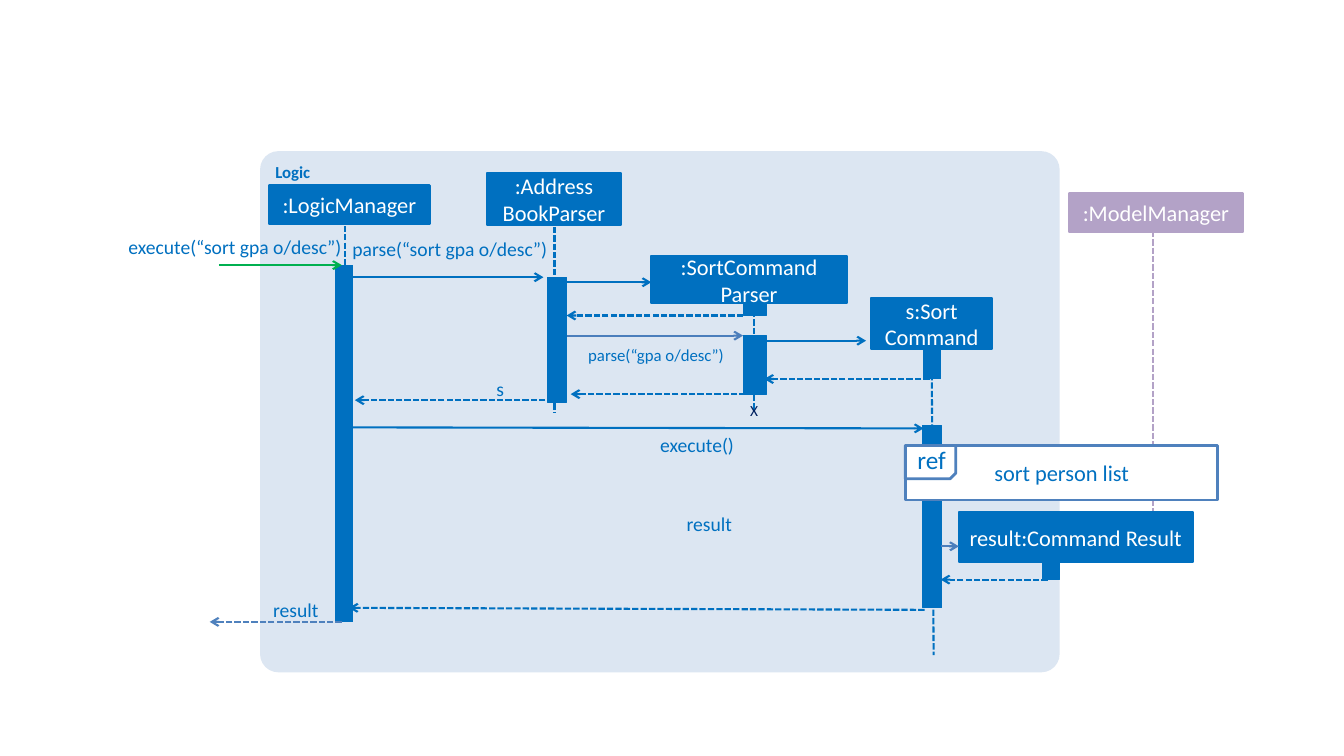
from pptx import Presentation
from pptx.dml.color import RGBColor
from pptx.enum.dml import MSO_LINE
from pptx.enum.shapes import MSO_CONNECTOR, MSO_SHAPE
from pptx.enum.text import MSO_ANCHOR, PP_ALIGN
from pptx.oxml.ns import qn
from pptx.util import Inches, Pt
from lxml.etree import SubElement

COLORS = {
    "logic": "0070C0", "model": "B3A2C7", "panel": "DCE6F2", "call": "00B050",
    "frame": "4F81BD", "steel": "4B7EBC", "navy": "002060", "white": "FFFFFF",
}
ALIGN = {"l": PP_ALIGN.LEFT, "c": PP_ALIGN.CENTER, "r": PP_ALIGN.RIGHT}

PANEL = (2.58, 1.5, 7.93, 5.17)
FRAME = (8.98, 4.42, 3.1, 0.54)
FRAME_TAB = (8.98, 4.42, 0.5, 0.33)

# start x, start y, end x, end y, colour
LIFELINES = [
    (3.42, 2.24, 3.42, 5.08, "logic"),
    (5.5, 2.25, 5.5, 4.1, "logic"),
    (7.48, 3, 7.48, 4.08, "logic"),
    (9.24, 3.46, 9.26, 6.5, "logic"),
    (11.44, 2.29, 11.44, 5.38, "model"),
]
# left, top, width, height
ACTIVATIONS = [
    (3.33, 2.63, 0.17, 3.54),
    (5.43, 2.75, 0.19, 1.24),
    (7.37, 3, 0.23, 0.13),
    (7.37, 3.33, 0.23, 0.58),
    (9.16, 3.46, 0.17, 0.3),
    (9.15, 4.22, 0.19, 1.81),
    (10.34, 5.56, 0.17, 0.19),
]
# name, place, colour; "\n" starts a paragraph, "\v" breaks a line
PARTICIPANTS = [
    (":LogicManager", (2.67, 1.84, 1.59, 0.38), "logic"),
    (":Address\nBookParser", (4.83, 1.72, 1.33, 0.51), "logic"),
    (":SortCommand\nParser", (6.46, 2.54, 1.94, 0.47), "logic"),
    ("s:Sort\vCommand", (8.64, 2.96, 1.2, 0.5), "logic"),
    (":ModelManager", (10.6, 1.92, 1.73, 0.38), "model"),
    ("result:Command Result", (9.51, 5.08, 2.32, 0.5), "logic"),
]
# sender x, y, receiver x, y, colour
CALLS = [
    (2.17, 2.63, 3.39, 2.63, "call"),
    (3.48, 2.75, 5.39, 2.75, "logic"),
    (5.57, 2.8, 6.46, 2.8, "logic"),
    (5.62, 3.33, 7.37, 3.33, "steel"),
    (7.58, 3.38, 8.59, 3.38, "logic"),
    (3.5, 4.24, 9.16, 4.25, "logic"),
    (9.33, 5.42, 9.51, 5.42, "steel"),
]
RETURNS = [
    (7.37, 3.13, 5.62, 3.13, "logic"),
    (9.22, 3.76, 7.58, 3.76, "logic"),
    (7.48, 3.91, 5.66, 3.91, "logic"),
    (5.41, 3.97, 3.52, 3.97, "logic"),
    (10.39, 5.75, 9.33, 5.75, "logic"),
    (9.17, 6.05, 3.46, 6.03, "logic"),
    (3.39, 6.17, 2.08, 6.17, "frame"),
]
# text, place, size
MESSAGES = [
    ("execute(“sort gpa o/desc”)", (1.26, 2.33, 2.13, 0.24), 14),
    ("parse(“sort gpa o/desc”)", (3.09, 2.35, 2.34, 0.24), 14),
    ("parse(“gpa o/desc”)", (5.71, 3.42, 1.47, 0.2), 12),
    ("s", (4.76, 3.74, 0.24, 0.24), 14),
    ("execute()", (6.34, 4.29, 0.94, 0.24), 14),
    ("result", (6.58, 5.08, 0.68, 0.24), 14),
    ("result", (2.33, 5.93, 0.83, 0.24), 14),
]

prs = Presentation()
prs.slide_width, prs.slide_height = Inches(13.33), Inches(7.5)
shapes = prs.slides.add_slide(prs.slide_layouts[6]).shapes


def rgb(name):
    """Return the palette colour with this name."""
    return RGBColor.from_string(COLORS[name])


def write(shape, text, size=16, color="logic", align="c", bold=False,
          anchor=MSO_ANCHOR.MIDDLE, wrap=True, inset=None):
    """Put formatted text in a shape."""
    frame = shape.text_frame
    frame.text, frame.word_wrap, frame.vertical_anchor = text, wrap, anchor
    if inset is not None:
        frame.margin_left = frame.margin_right = Inches(inset)
        frame.margin_top = frame.margin_bottom = Inches(inset)
    for paragraph in frame.paragraphs:
        paragraph.alignment = ALIGN[align]
        for run in paragraph.runs:
            run.font.name, run.font.size, run.font.bold = "Calibri", Pt(size), bold
            run.font.color.rgb = rgb(color)


def block(place, fill, outline=None, weight=1.5, kind=MSO_SHAPE.RECTANGLE):
    """Draw a filled shape, outlined when a colour is given."""
    shape = shapes.add_shape(kind, *map(Inches, place))
    shape.shadow.inherit = False
    shape.fill.solid()
    shape.fill.fore_color.rgb = rgb(fill)
    if outline:
        shape.line.color.rgb, shape.line.width = rgb(outline), Pt(weight)
    else:
        shape.line.fill.background()
    return shape


def connect(x1, y1, x2, y2, color, dashed=False, arrow=False):
    """Draw a line, with an open arrowhead at its end if wanted."""
    link = shapes.add_connector(MSO_CONNECTOR.STRAIGHT, *map(Inches, (x1, y1, x2, y2)))
    link.line.color.rgb, link.line.width = rgb(color), Pt(1.5)
    if dashed:
        link.line.dash_style = MSO_LINE.SQUARE_DOT
    if arrow:
        SubElement(link.line._get_or_add_ln(), qn("a:tailEnd"), type="arrow")
    SubElement(link._element.spPr, qn("a:effectLst"))


def label(text, place, **style):
    """Add a text box anchored at its top."""
    write(shapes.add_textbox(*map(Inches, place)), text, anchor=MSO_ANCHOR.TOP, **style)


panel = block(PANEL, "panel", kind=MSO_SHAPE.ROUNDED_RECTANGLE)
panel.adjustments[0] = 0.035
write(panel, "Logic", size=12, bold=True, align="l", anchor=MSO_ANCHOR.TOP)

for lifeline in LIFELINES:
    connect(*lifeline, dashed=True)
for activation in ACTIVATIONS:
    block(activation, "logic", "logic", 0.75)
for name, place, color in PARTICIPANTS:
    write(block(place, color, color), name, color="white")
for call in CALLS:
    connect(*call, arrow=True)
for reply in RETURNS:
    connect(*reply, dashed=True, arrow=True)
for message, place, size in MESSAGES:
    label(message, place, size=size, align="r", inset=0)
label("X", (7.34, 3.93, 0.28, 0.29), size=11, color="navy", align="l", wrap=False)

write(block(FRAME, "white", "frame", 2), "sort person list")
tab = block(FRAME_TAB, "white", "frame", 2, MSO_SHAPE.SNIP_1_RECTANGLE)
tab._element.spPr.get_or_add_xfrm().set("flipV", "1")
label("ref", (9, 4.36, 0.51, 0.4), size=18, align="l")

prs.save("out.pptx")
